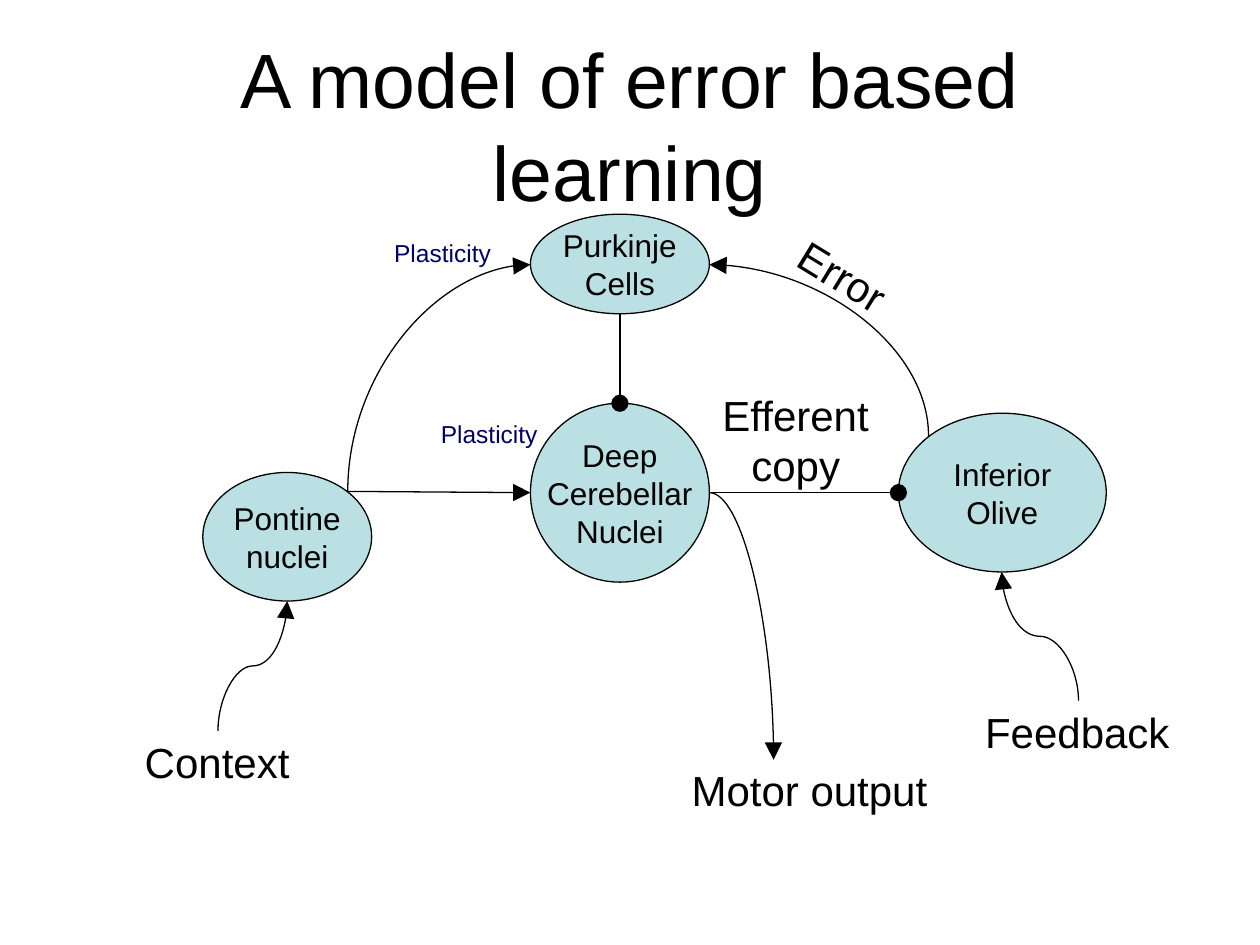
from dataclasses import dataclass

from lxml.etree import SubElement
from pptx import Presentation
from pptx.dml.color import RGBColor as Color
from pptx.enum.shapes import MSO_CONNECTOR as Connector, MSO_SHAPE as Shape
from pptx.enum.text import MSO_ANCHOR as Anchor, MSO_AUTO_SIZE as AutoSize, PP_ALIGN as Align
from pptx.oxml.ns import qn
from pptx.util import Inches, Pt


@dataclass(frozen=True)
class Theme:
    font: str = "Arial"
    ink: Color = Color(0x00, 0x00, 0x00)
    note: Color = Color(0x00, 0x00, 0x66)
    cell: Color = Color(0xBB, 0xE0, 0xE3)
    title_size: int = 44
    label_size: int = 24
    cell_size: int = 18
    note_size: int = 14
    line_width: float = 0.75


THEME = Theme()
WIDTH, HEIGHT = Inches(10), Inches(7.5)
COLUMNS, ROWS = 100, 75


def across(columns):
    return round(WIDTH * columns / COLUMNS)


def down(rows):
    return round(HEIGHT * rows / ROWS)


def place(left, top, width, height):
    return across(left), down(top), across(width), down(height)


def write(shape, lines, size, color=THEME.ink, align=Align.LEFT, anchor=Anchor.MIDDLE, wrap=False):
    frame = shape.text_frame
    frame.word_wrap = wrap
    frame.vertical_anchor = anchor
    frame.text = "\n".join(lines)
    for para in frame.paragraphs:
        para.alignment = align
        para.font.name = THEME.font
        para.font.size = Pt(size)
        para.font.color.rgb = color


def add_title(page, text, area):
    box = page.shapes.add_textbox(*place(*area))
    write(box, [text], THEME.title_size, align=Align.CENTER, wrap=True)


def add_label(page, lines, area, size=THEME.label_size, color=THEME.ink,
              align=Align.LEFT, anchor=Anchor.TOP, angle=0):
    box = page.shapes.add_textbox(*place(*area))
    write(box, lines, size, color, align, anchor)
    box.rotation = angle
    if anchor == Anchor.TOP:
        box.text_frame.auto_size = AutoSize.SHAPE_TO_FIT_TEXT


def add_cell(page, lines, area):
    cell = page.shapes.add_shape(Shape.OVAL, *place(*area))
    cell.shadow.inherit = False
    cell.fill.solid()
    cell.fill.fore_color.rgb = THEME.cell
    cell.line.color.rgb = THEME.ink
    cell.line.width = Pt(THEME.line_width)
    write(cell, lines, THEME.cell_size, align=Align.CENTER)


def add_link(page, start, end, tip="triangle", kind=Connector.STRAIGHT):
    link = page.shapes.add_connector(
        kind, across(start[0]), down(start[1]), across(end[0]), down(end[1]))
    link.line.color.rgb = THEME.ink
    link.line.width = Pt(THEME.line_width)
    SubElement(link.line._get_or_add_ln(), qn("a:tailEnd"), type=tip, w="lg", len="lg")
    SubElement(link._element.spPr, qn("a:effectLst"))
    return link


def add_curve(page, start, end, preset):
    link = add_link(page, start, end, kind=Connector.CURVE)
    properties = link._element.spPr
    properties.find(qn("a:prstGeom")).set("prst", preset)
    if end[1] < start[1]:
        turn_upward(link, properties.find(qn("a:xfrm")), leftward=end[0] < start[0])


def turn_upward(link, transform, leftward):
    left, top, width, height = link.left, link.top, link.width, link.height
    link.left = left + (width - height) // 2
    link.top = top + (height - width) // 2
    link.width, link.height = height, width
    transform.set("rot", str((90 if leftward else 270) * 60000))
    transform.set("flipH", "1" if leftward else "0")
    transform.set("flipV", "0")


def main():
    deck = Presentation()
    deck.slide_width, deck.slide_height = WIDTH, HEIGHT
    page = deck.slides.add_slide(deck.slide_layouts[6])

    add_title(page, "A model of error based learning", (7.5, 3.6, 85, 12.5))

    cells = [
        (["Purkinje", "Cells"], (42.1, 17, 14.2, 7.9)),
        (["Pontine", "nuclei"], (16.1, 37.5, 13.4, 10.2)),
        (["Inferior", "Olive"], (71.3, 32.8, 16.5, 12.6)),
        (["Deep", "Cerebellar", "Nuclei"], (42.1, 32, 14.2, 14.2)),
    ]
    for lines, area in cells:
        add_cell(page, lines, area)

    pontine_exit, nuclei_exit = (27.6, 39), (56.3, 39.1)
    add_link(page, (49.2, 24.9), (49.2, 32), "oval")
    add_link(page, pontine_exit, (42.1, 39.1))
    add_link(page, nuclei_exit, (71.3, 39.1), "oval")

    arc, wave = "curvedConnector2", "curvedConnector3"
    curves = [
        (pontine_exit, (42.1, 21), arc),
        ((73.7, 34.6), (56.3, 21), arc),
        (nuclei_exit, (61.4, 60.3), arc),
        ((17.3, 58), (22.8, 47.7), wave),
        ((85.6, 55.6), (79.5, 45.4), wave),
    ]
    for start, end, preset in curves:
        add_curve(page, start, end, preset)

    add_label(page, ["Motor output"], (53.9, 60.3, 21, 4.7), anchor=Anchor.MIDDLE)
    add_label(page, ["Context"], (10.5, 58, 13.5, 5))
    add_label(page, ["Feedback"], (77.2, 55.6, 16.7, 5))
    for left, top in [(30.3, 18.4), (34, 32.8)]:
        add_label(page, ["Plasticity"], (left, top, 9.7, 3.3), THEME.note_size, THEME.note)
    add_label(page, ["Error"], (61.8, 21, 15, 4.7), anchor=Anchor.MIDDLE, angle=31.4)
    add_label(page, ["Efferent", "copy"], (56.3, 30.4, 13.7, 9), align=Align.CENTER)

    deck.save("out.pptx")


if __name__ == "__main__":
    main()
